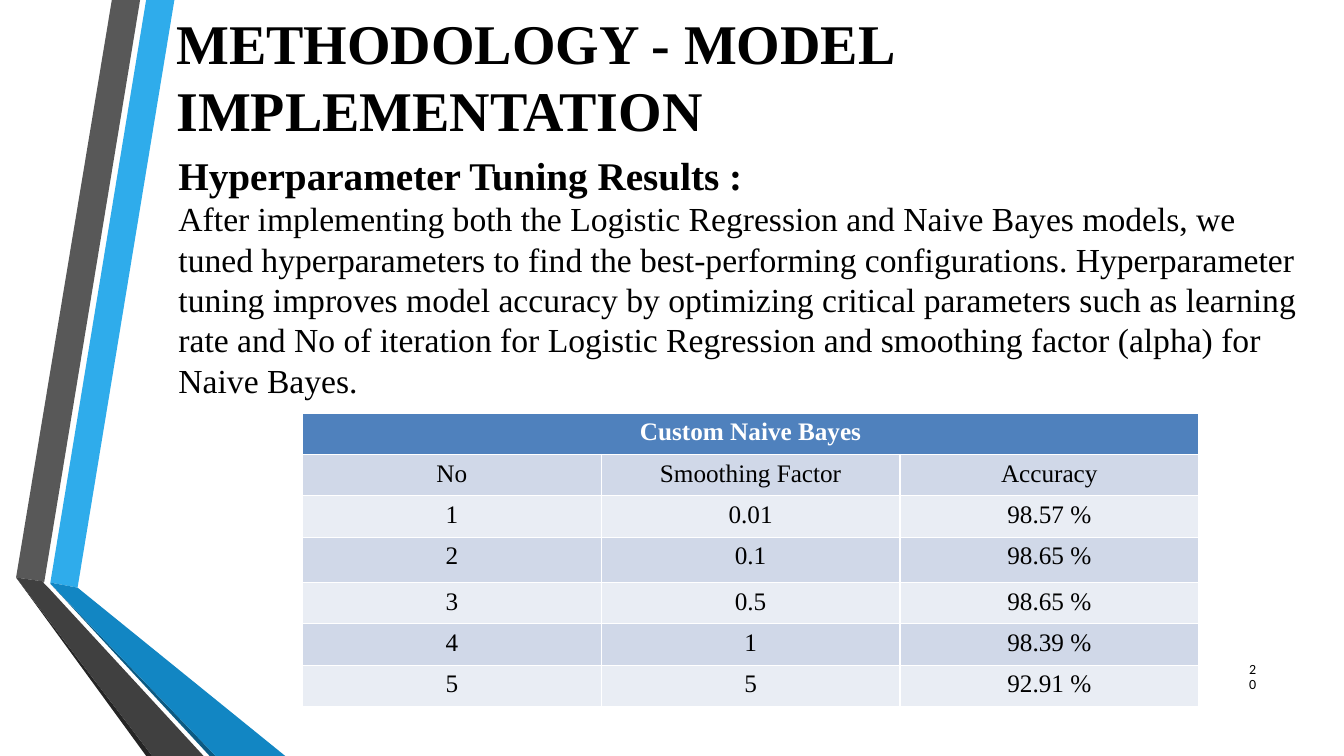
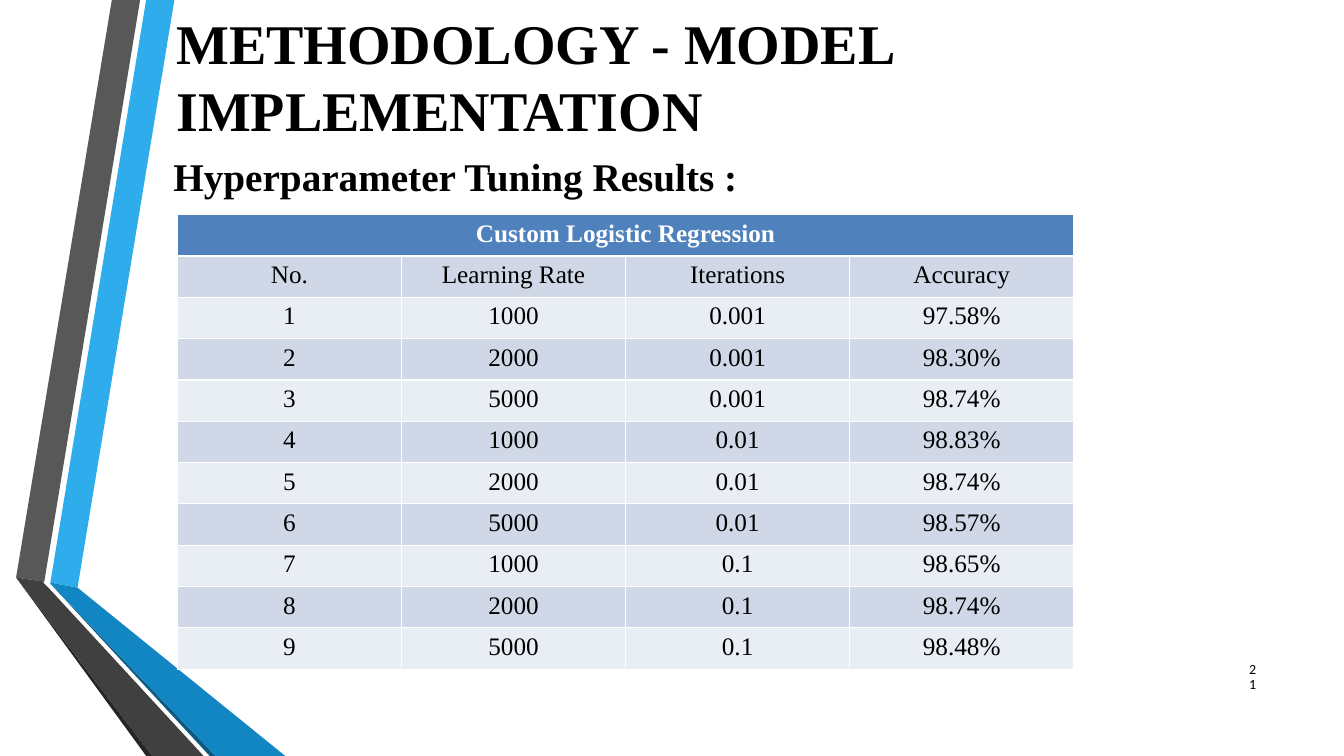
from pptx import Presentation, util as u
from pptx.dml.color import RGBColor
from pptx.enum import text as t
from pptx.oxml import ns, parse_xml

# Shared look
WIDTH, HEIGHT = 13.33, 7.5
FONT, NUMBER_FONT = "Times New Roman", "Calibri"
BLACK, WHITE, HEADER = "000000", "FFFFFF", "4F81BD"
STRIPES = ("D0D8E8", "E9EDF4")
LEADING = 1.2
ROW_HEIGHT, TABLE_WIDTH = 0.41, 8.89
TITLE_BOX = (1.75, 0.08, 11.17, 1.35)
NUMBER_BOX = (12.33, 6.58, 0.19, 0.13)

# Folded ribbons at the left edge: colour and outline in inches
RIBBONS = [
    ("2FACEB", [(1.73, 0), (1.45, 0), (0.5, 5.78), (0.77, 5.83)]),
    ("585858", [(1.39, 0), (1.11, 0), (0.16, 5.73), (0.44, 5.77)]),
    ("252525", [(0.16, 5.73), (1.45, HEIGHT), (1.51, HEIGHT)]),
    ("0C5A82", [(0.5, 5.79), (2.08, HEIGHT), (2.14, HEIGHT)]),
    ("1286C3", [(0.5, 5.78), (0.5, 5.79), (2.14, HEIGHT), (2.83, HEIGHT),
                (0.77, 5.83)]),
    ("404040", [(0.16, 5.73), (1.51, HEIGHT), (2.02, HEIGHT), (0.48, 5.83),
                (0.43, 5.78), (0.44, 5.77)]),
]

# Content
TITLE = "METHODOLOGY - MODEL IMPLEMENTATION"
HEADING = "Hyperparameter Tuning Results :"
SLIDES = [
    {
        "number": "20",
        "body_box": (1.67, 1.45, 11.33, 2.6),
        "intro": "After implementing both the Logistic Regression and Naive Bayes "
                 "models, we tuned hyperparameters to find the best-performing "
                 "configurations. Hyperparameter tuning improves model accuracy by "
                 "optimizing critical parameters such as learning rate and No of "
                 "iteration for Logistic Regression and smoothing factor (alpha) "
                 "for Naive Bayes.",
        "table_at": (3, 4.1),
        "tall_rows": {3: 0.45},
        "model": "Custom Naive Bayes",
        "results": [
            ("No", "Smoothing Factor", "Accuracy"),
            ("1", "0.01", "98.57 %"),
            ("2", "0.1", "98.65 %"),
            ("3", "0.5", "98.65 %"),
            ("4", "1", "98.39 %"),
            ("5", "5", "92.91 %"),
        ],
    },
    {
        "number": "21",
        "body_box": (1.62, 1.46, 11.33, 0.6),
        "intro": None,
        "table_at": (1.76, 2.13),
        "tall_rows": {},
        "model": "Custom Logistic Regression",
        "results": [
            ("No.", "Learning Rate", "Iterations", "Accuracy"),
            ("1", "1000", "0.001", "97.58%"),
            ("2", "2000", "0.001", "98.30%"),
            ("3", "5000", "0.001", "98.74%"),
            ("4", "1000", "0.01", "98.83%"),
            ("5", "2000", "0.01", "98.74%"),
            ("6", "5000", "0.01", "98.57%"),
            ("7", "1000", "0.1", "98.65%"),
            ("8", "2000", "0.1", "98.74%"),
            ("9", "5000", "0.1", "98.48%"),
        ],
    },
]


def paint(fill, colour):
    fill.solid()
    fill.fore_color.rgb = RGBColor.from_string(colour)


def place(shape, box):
    shape.left, shape.top, shape.width, shape.height = map(u.Inches, box)


def set_frame(frame, inset=(0, 0)):
    frame.word_wrap = True
    frame.auto_size = t.MSO_AUTO_SIZE.NONE
    frame.vertical_anchor = t.MSO_ANCHOR.TOP
    frame.margin_left = frame.margin_right = u.Inches(inset[0])
    frame.margin_top = frame.margin_bottom = u.Inches(inset[1])


def write(paragraph, words, size, colour=BLACK, bold=False, font=FONT,
          align=t.PP_ALIGN.LEFT, leading=None):
    paragraph.alignment = align
    if leading:
        paragraph.line_spacing = u.Pt(leading)
        paragraph.space_before = u.Pt(0)
    run = paragraph.add_run()
    run.text = words
    run.font.name, run.font.size, run.font.bold = font, u.Pt(size), bold
    paint(run.font.fill, colour)


def prepare_layout(layout, slide):
    """Set the title place and move the ribbons to the shared layout."""
    for holder in list(layout.placeholders):
        if holder.placeholder_format.idx >= 10:
            holder.element.getparent().remove(holder.element)
    place(layout.placeholders[0], TITLE_BOX)
    for colour, outline in RIBBONS:
        points = [(u.Inches(x), u.Inches(y)) for x, y in outline]
        builder = slide.shapes.build_freeform(*points[0])
        builder.add_line_segments(points[1:], close=True)
        ribbon = builder.convert_to_shape()
        paint(ribbon.fill, colour)
        ribbon.line.fill.background()
        ribbon.shadow.inherit = False
        layout.shapes.element.append(ribbon.element)


def add_text(slide, content):
    # Title
    title = slide.shapes.title.text_frame
    set_frame(title)
    write(title.paragraphs[0], TITLE, 40, bold=True, leading=40 * LEADING)

    # Heading and introduction
    body = slide.placeholders[1]
    place(body, content["body_box"])
    set_frame(body.text_frame, (0.1, 0.05))
    write(body.text_frame.paragraphs[0], HEADING, 28, bold=True,
          leading=28 * LEADING)
    if content["intro"]:
        write(body.text_frame.add_paragraph(), content["intro"], 24,
              leading=24 * LEADING)
    for paragraph in body.element.iter(ns.qn("a:p")):
        properties = paragraph.get_or_add_pPr()
        properties.set("marL", "0")
        properties.set("indent", "0")
        properties.append(parse_xml(f"<a:buNone {ns.nsdecls('a')}/>"))

    # Page number
    number = slide.shapes.add_textbox(*map(u.Inches, NUMBER_BOX)).text_frame
    set_frame(number)
    number.margin_left = u.Inches(0.06)
    write(number.paragraphs[0], content["number"], 10, font=NUMBER_FONT,
          leading=10.4)


def add_results(slide, content):
    results = content["results"]
    columns = len(results[0])
    heights = [content["tall_rows"].get(i, ROW_HEIGHT)
               for i in range(len(results) + 1)]
    box = (*content["table_at"], TABLE_WIDTH, sum(heights))
    table = slide.shapes.add_table(len(heights), columns,
                                   *map(u.Inches, box)).table
    for row, height in zip(table.rows, heights):
        row.height = u.Inches(height)

    # Model name across the top
    header = table.cell(0, 0)
    header.merge(table.cell(0, columns - 1))
    paint(header.fill, HEADER)
    write(header.text_frame.paragraphs[0], content["model"], 18, WHITE, True,
          align=t.PP_ALIGN.CENTER)

    # Striped rows
    for r, values in enumerate(results):
        for c, value in enumerate(values):
            cell = table.cell(r + 1, c)
            paint(cell.fill, STRIPES[r % 2])
            write(cell.text_frame.paragraphs[0], value, 18,
                  align=t.PP_ALIGN.CENTER)


def main():
    prs = Presentation()
    prs.slide_width, prs.slide_height = u.Inches(WIDTH), u.Inches(HEIGHT)
    layout = prs.slide_layouts[1]
    slides = [prs.slides.add_slide(layout) for _ in SLIDES]
    prepare_layout(layout, slides[0])
    for slide, content in zip(slides, SLIDES):
        add_text(slide, content)
        add_results(slide, content)
    prs.save("out.pptx")


if __name__ == "__main__":
    main()
